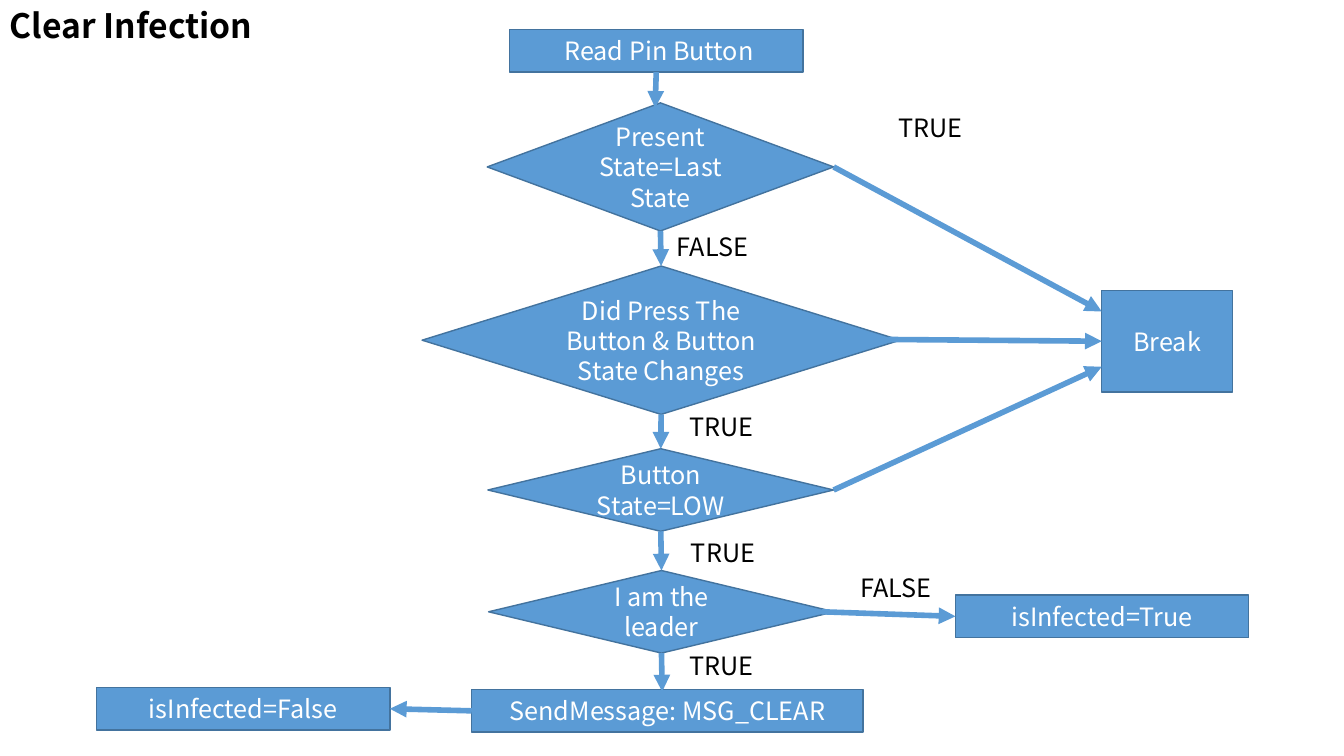
from dataclasses import dataclass

from lxml import etree
from pptx import Presentation
from pptx.dml.color import RGBColor
from pptx.enum.shapes import MSO_CONNECTOR, MSO_SHAPE
from pptx.enum.text import MSO_ANCHOR, MSO_AUTO_SIZE, PP_ALIGN
from pptx.oxml.ns import qn
from pptx.util import Pt

RECT = MSO_SHAPE.RECTANGLE
DECISION = MSO_SHAPE.FLOWCHART_DECISION
STRAIGHT = MSO_CONNECTOR.STRAIGHT
CENTER = PP_ALIGN.CENTER
MIDDLE = MSO_ANCHOR.MIDDLE
GROW = MSO_AUTO_SIZE.SHAPE_TO_FIT_TEXT
TOP, LEFT, BOTTOM, RIGHT = range(4)


@dataclass(frozen=True)
class Theme:
    font: str = "Noto Sans CJK SC"
    blue: RGBColor = RGBColor(0x5B, 0x9B, 0xD5)
    outline: RGBColor = RGBColor(0x43, 0x73, 0x9E)
    white: RGBColor = RGBColor(0xFF, 0xFF, 0xFF)
    black: RGBColor = RGBColor(0, 0, 0)
    title: int = 24
    body: int = 18


theme = Theme()


def write(shape, text, size, color, bold=False):
    tf = shape.text_frame
    tf.word_wrap = True
    tf.text = text
    font = tf.paragraphs[0].runs[0].font
    font.name, font.size, font.bold = theme.font, Pt(size), bold
    font.color.rgb = color


prs = Presentation()
prs.slide_width, prs.slide_height = Pt(960), Pt(540)
s = prs.slides.add_slide(prs.slide_layouts[6])

# Boxes and decisions: name, preset, text, left, top, width, height
STEPS = [
    ("read", RECT, " Read Pin Button", 364, 21, 209.5, 30.5),
    ("same", DECISION, "Present State=Last State", 348, 73.5, 247.5, 91.5),
    ("press", DECISION, "Did Press The Button & Button State Changes", 301.5, 190, 341.5, 106),
    ("low", DECISION, "Button State=LOW", 348.5, 320.5, 247, 59),
    ("leader", DECISION, "I am the leader", 349, 407.5, 247, 59),
    ("send", RECT, "SendMessage: MSG_CLEAR", 337, 492.5, 279.5, 30.5),
    ("cleared", RECT, "isInfected=False", 69, 491, 209.5, 30.5),
    ("infected", RECT, "isInfected=True", 682.5, 425, 209.5, 30.5),
    ("break", RECT, "Break", 787, 207.5, 93.5, 72.5),
]
steps = {}
for name, preset, text, *box in STEPS:
    sp = s.shapes.add_shape(preset, *map(Pt, box))
    sp.shadow.inherit = False
    sp.fill.solid()
    sp.fill.fore_color.rgb = theme.blue
    sp.line.color.rgb = theme.outline
    sp.line.width = Pt(1)
    write(sp, text, theme.body, theme.white)
    sp.text_frame.vertical_anchor = MIDDLE
    sp.text_frame.paragraphs[0].alignment = CENTER
    steps[name] = sp

# Arrow ends are either (step, side) or a free point (x, y)
ARROWS = [
    (("read", BOTTOM), (468, 77)),
    (("same", BOTTOM), ("press", TOP)),
    (("press", BOTTOM), ("low", TOP)),
    (("low", BOTTOM), ("leader", TOP)),
    (("leader", BOTTOM), (473, 494)),
    (("same", RIGHT), (787, 222.5)),
    ((634.5, 242.5), ("break", LEFT)),
    (("low", RIGHT), (787, 262)),
    ((587, 437), ("infected", LEFT)),
    (("send", LEFT), ("cleared", RIGHT)),
]
for start, end in ARROWS:
    points = [(0, 0) if p[0] in steps else p for p in (start, end)]
    arrow = s.shapes.add_connector(STRAIGHT, *(Pt(v) for p in points for v in p))
    for (target, side), connect in ((start, arrow.begin_connect), (end, arrow.end_connect)):
        if target in steps:
            connect(steps[target], side)
    arrow.line.color.rgb = theme.blue
    arrow.line.width = Pt(4)
    props = arrow.element.spPr
    etree.SubElement(props.find(qn("a:ln")), qn("a:tailEnd"), type="triangle")
    etree.SubElement(props, qn("a:effectLst"))

title = s.shapes.add_textbox(Pt(0), Pt(0), Pt(226), Pt(36))
write(title, "Clear Infection", theme.title, theme.black, bold=True)
title.text_frame.auto_size = GROW

LABELS = [
    ("TRUE", 634.5, 77),
    ("FALSE", 476.5, 161.5),
    ("TRUE", 485.5, 290),
    ("TRUE", 486.5, 380),
    ("TRUE", 485.5, 461),
    ("FALSE", 607.5, 405.5),
]
for text, left, top in LABELS:
    label = s.shapes.add_textbox(Pt(left), Pt(top), Pt(96.5), Pt(29))
    write(label, text, theme.body, theme.black)
    label.text_frame.auto_size = GROW

prs.save("out.pptx")
